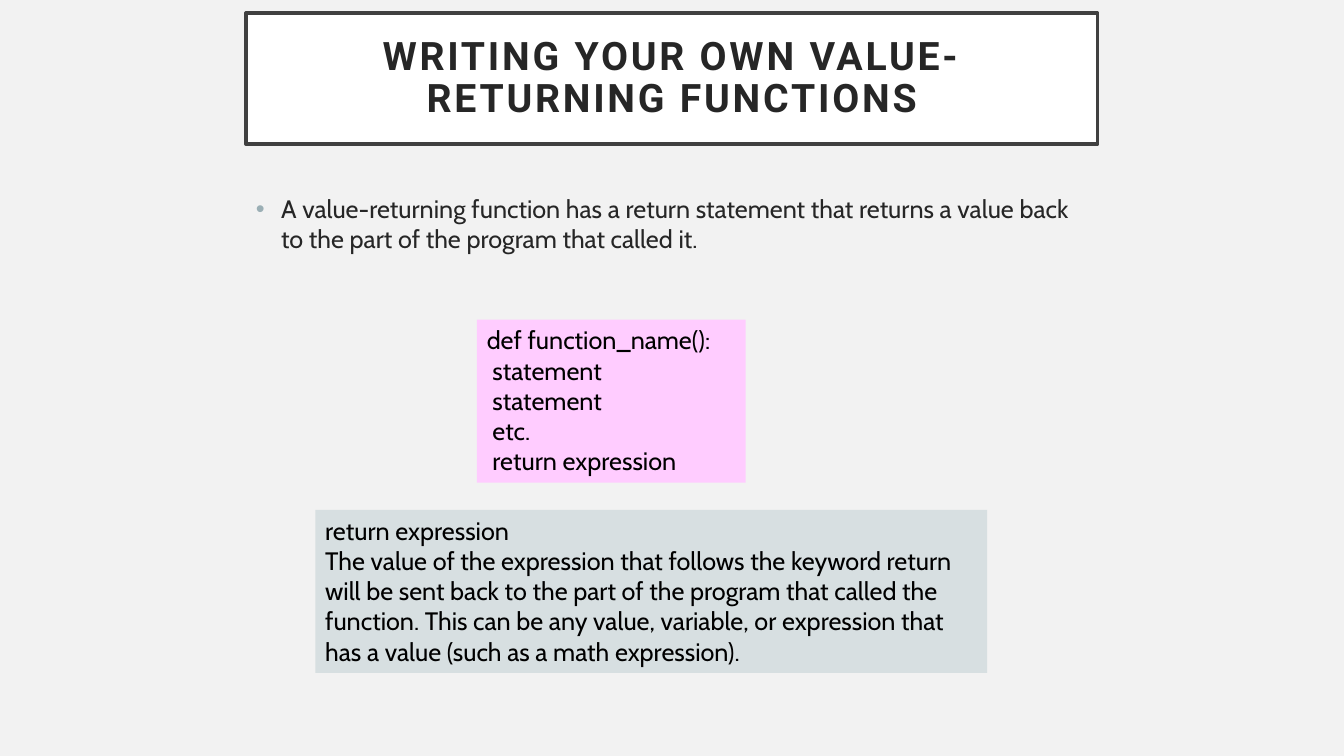
from lxml.etree import SubElement
from pptx import Presentation
from pptx.dml.color import RGBColor
from pptx.enum.shapes import MSO_SHAPE
from pptx.enum.text import MSO_ANCHOR, PP_ALIGN
from pptx.oxml.ns import qn
from pptx.util import Pt

PAPER = RGBColor(0xF2, 0xF2, 0xF2)
WHITE = RGBColor(0xFF, 0xFF, 0xFF)
BLACK = RGBColor(0x00, 0x00, 0x00)
INK = RGBColor(0x26, 0x26, 0x26)
FRAME = RGBColor(0x40, 0x40, 0x40)
PINK = RGBColor(0xFF, 0xCC, 0xFF)
MIST = RGBColor(0xD7, 0xDF, 0xE1)
BULLET = RGBColor(0x9B, 0xAF, 0xB5)

TITLE = "WRITING YOUR OWN VALUE-RETURNING FUNCTIONS"
POINT = ("A value-returning function has a return statement that returns "
         "a value back to the part of the program that called it.")
CODE = ["def function_name():", " statement", " statement", " etc.",
        " return expression"]
NOTE = ["return expression",
        "The value of the expression that follows the keyword return will be "
        "sent back to the part of the program that called the function. "
        "This can be any value, variable, or expression that",
        "has a value (such as a math expression)."]


def add_run(para, text, color, font="Cabin", size=18):
    run = para.add_run()
    run.text = text
    run.font.name = font
    run.font.size = Pt(size)
    run.font.color.rgb = color
    return run


def add_rect(slide, box, fill):
    rect = slide.shapes.add_shape(MSO_SHAPE.RECTANGLE, *map(Pt, box))
    rect.shadow.inherit = False
    rect.fill.solid()
    rect.fill.fore_color.rgb = fill
    rect.line.fill.background()
    rect.text_frame.word_wrap = True
    return rect


def add_title(slide, box, text):
    rect = add_rect(slide, box, WHITE)
    rect.line.color.rgb = FRAME
    rect.line.width = Pt(2.5)
    frame = rect.text_frame
    frame.vertical_anchor = MSO_ANCHOR.MIDDLE
    frame.margin_left = frame.margin_right = Pt(14.4)
    frame.margin_top = frame.margin_bottom = Pt(14.4)
    para = frame.paragraphs[0]
    para.alignment = PP_ALIGN.CENTER
    para.line_spacing = 0.9
    run = add_run(para, text, INK, "Roboto", 28)
    run.font.bold = True
    run.font._element.set("spc", "200")


def add_point(slide, box, text):
    """Place one bulleted paragraph with a hanging indent."""
    frame = slide.shapes.add_textbox(*map(Pt, box)).text_frame
    frame.word_wrap = True
    para = frame.paragraphs[0]
    para.space_before = Pt(10)
    props = para._p.get_or_add_pPr()
    props.set("marL", str(Pt(18)))
    props.set("indent", str(Pt(-18)))
    color = SubElement(props, qn("a:buClr"))
    SubElement(color, qn("a:srgbClr"), val=str(BULLET))
    SubElement(props, qn("a:buFont"), typeface="Arial")
    SubElement(props, qn("a:buChar"), char="•")
    add_run(para, text, INK)


def add_panel(slide, box, fill, lines):
    frame = add_rect(slide, box, fill).text_frame
    frame.vertical_anchor = MSO_ANCHOR.TOP
    for i, line in enumerate(lines):
        para = frame.add_paragraph() if i else frame.paragraphs[0]
        para.alignment = PP_ALIGN.LEFT
        add_run(para, line, BLACK)


def main():
    deck = Presentation()
    deck.slide_width, deck.slide_height = Pt(960), Pt(540)
    slide = deck.slides.add_slide(deck.slide_layouts[6])
    slide.background.fill.solid()
    slide.background.fill.fore_color.rgb = PAPER
    add_title(slide, (175.7, 9.4, 608.4, 93.6), TITLE)
    add_point(slide, (175.7, 134.6, 608.4, 93.6), POINT)
    add_panel(slide, (340.6, 228.4, 192, 116.4), PINK, CODE)
    add_panel(slide, (225.2, 364.3, 480, 116.4), MIST, NOTE)
    deck.save("out.pptx")


if __name__ == "__main__":
    main()
